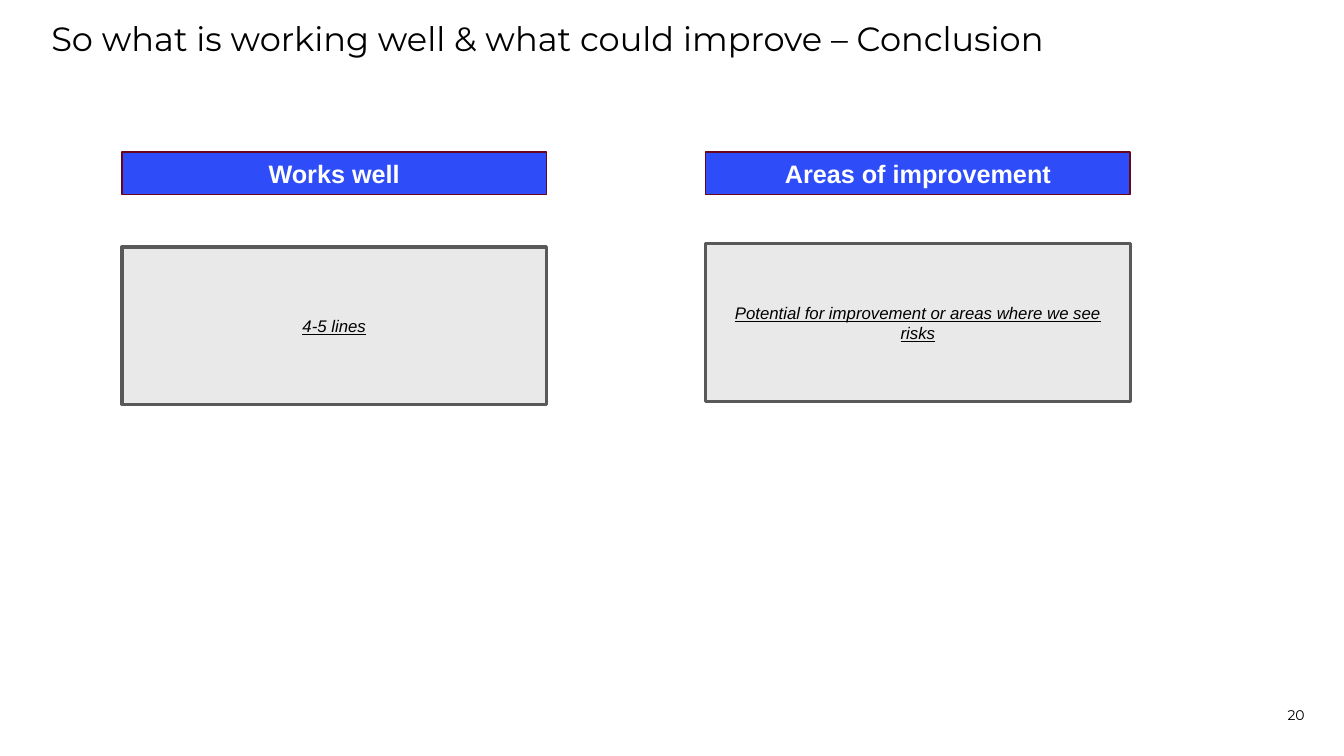
from dataclasses import dataclass

from pptx import Presentation
from pptx.dml.color import RGBColor
from pptx.enum.shapes import MSO_SHAPE
from pptx.enum.text import MSO_ANCHOR, PP_ALIGN
from pptx.util import Inches, Pt


@dataclass(frozen=True)
class Theme:
    ink: str = "000000"
    paper: str = "FFFFFF"
    banner: str = "2E4DF9"
    banner_edge: str = "68051B"
    panel: str = "E9E9E9"
    panel_edge: str = "595959"
    display_font: str = "Montserrat"
    body_font: str = "Arial"
    title_size: int = 24
    heading_size: int = 18
    body_size: int = 12
    number_size: int = 10


class ConclusionSlide:
    """Draws styled elements placed by percentages of the slide's size."""

    def __init__(self, deck, theme):
        self.deck = deck
        self.theme = theme
        self.slide = deck.slides.add_slide(deck.slide_layouts[6])

    def place(self, left, top, width, height):
        across, down = self.deck.slide_width, self.deck.slide_height
        return [round(share * extent / 100) for share, extent in
                ((left, across), (top, down), (width, across), (height, down))]

    def add_wording(self, frame, wording, color, align, frame_format, font_format):
        for name, value in {"word_wrap": True, **frame_format}.items():
            setattr(frame, name, value)
        paragraph = frame.paragraphs[0]
        paragraph.alignment = align
        run = paragraph.add_run()
        run.text = wording
        run.font.color.rgb = RGBColor.from_string(color)
        for name, value in font_format.items():
            setattr(run.font, name, value)

    def box(self, area, wording, fill, edge, edge_width, color, font_format):
        rectangle = self.slide.shapes.add_shape(MSO_SHAPE.RECTANGLE, *self.place(*area))
        rectangle.shadow.inherit = False
        rectangle.fill.solid()
        rectangle.fill.fore_color.rgb = RGBColor.from_string(fill)
        rectangle.line.color.rgb = RGBColor.from_string(edge)
        rectangle.line.width = Pt(edge_width)
        self.add_wording(rectangle.text_frame, wording, color, PP_ALIGN.CENTER,
                         {"vertical_anchor": MSO_ANCHOR.MIDDLE},
                         {"name": self.theme.body_font, **font_format})

    def label(self, area, wording, size, align, frame_format):
        caption = self.slide.shapes.add_textbox(*self.place(*area))
        self.add_wording(caption.text_frame, wording, self.theme.ink, align, frame_format,
                         {"name": self.theme.display_font, "size": Pt(size)})

    def title(self, area, wording):
        self.label(area, wording, self.theme.title_size, PP_ALIGN.LEFT, {})

    def page_number(self, area, wording):
        margins = dict.fromkeys(
            ("margin_left", "margin_top", "margin_right", "margin_bottom"), 0)
        self.label(area, wording, self.theme.number_size, PP_ALIGN.RIGHT,
                   {"vertical_anchor": MSO_ANCHOR.BOTTOM, **margins})

    def heading(self, area, wording):
        theme = self.theme
        self.box(area, wording, theme.banner, theme.banner_edge, 1, theme.paper,
                 {"size": Pt(theme.heading_size), "bold": True})

    def panel(self, area, wording):
        theme = self.theme
        self.box(area, wording, theme.panel, theme.panel_edge, 2.25, theme.ink,
                 {"size": Pt(theme.body_size), "italic": True, "underline": True})


def main():
    deck = Presentation()
    deck.slide_width, deck.slide_height = Inches(13.33), Inches(7.5)
    conclusion = ConclusionSlide(deck, Theme())
    conclusion.page_number((89.72, 90.4, 7.35, 5.33), "20")
    conclusion.title((3.08, 1.73, 96.02, 6.67),
                     "So what is working well & what could improve – Conclusion")

    first_column, column_step, column_width = 9.08, 43.43, 31.58
    topics = (
        ("Works well", "4-5 lines", 32.67),
        ("Areas of improvement",
         "Potential for improvement or areas where we see risks", 32.27),
    )
    for column, (topic, finding, panel_top) in enumerate(topics):
        left = first_column + column * column_step
        conclusion.panel((left, panel_top, column_width, 20.8), finding)
        conclusion.heading((left, 20.13, column_width, 5.6), topic)

    deck.save("out.pptx")


if __name__ == "__main__":
    main()
